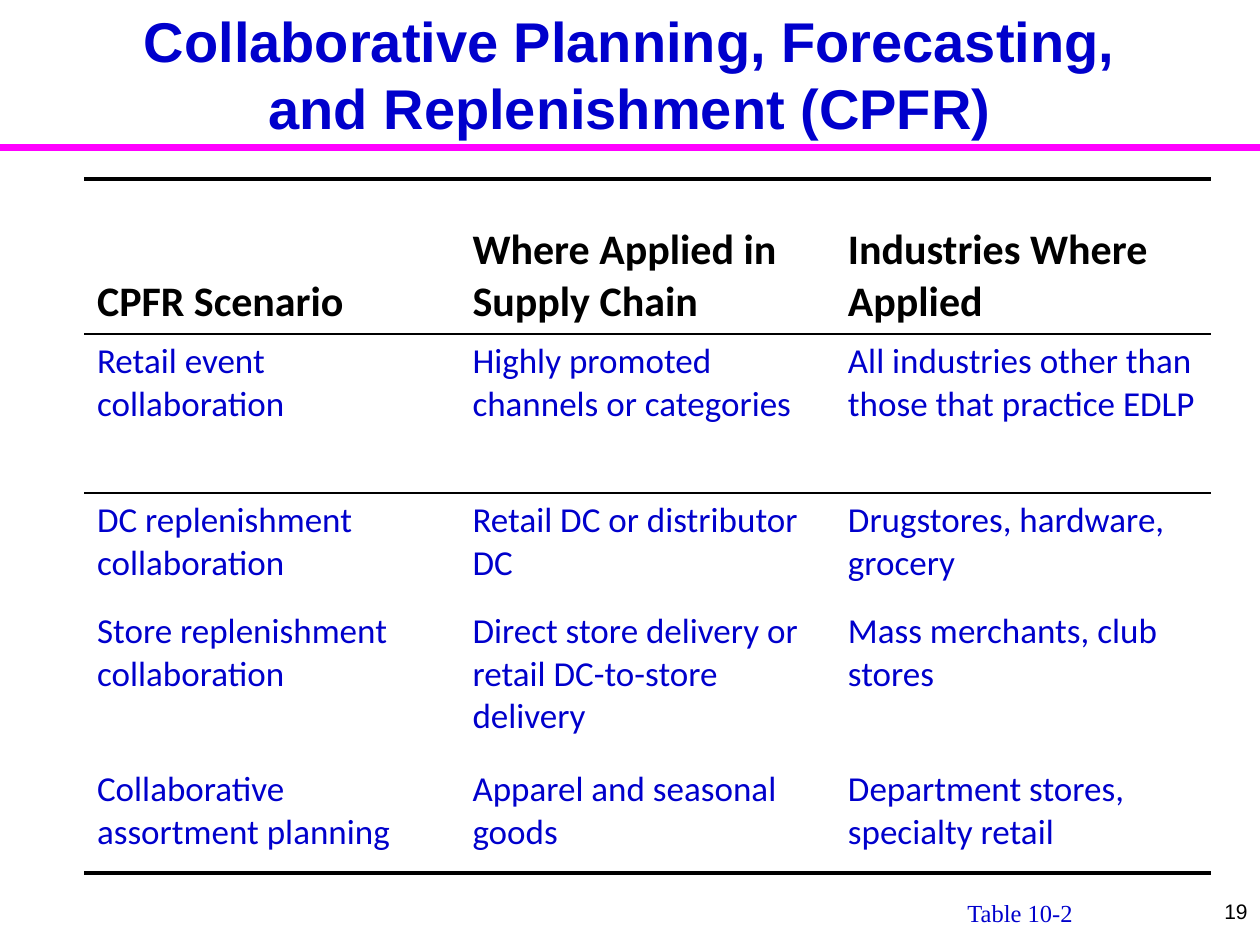
from lxml.etree import SubElement
from pptx import Presentation
from pptx.dml.color import RGBColor
from pptx.enum.shapes import MSO_CONNECTOR
from pptx.enum.text import MSO_ANCHOR, PP_ALIGN
from pptx.oxml.ns import qn
from pptx.util import Inches, Pt

BLUE, BLACK, MAGENTA = "0000CC", "000000", "FF00FF"
ROWS = [
    ("CPFR Scenario", "Where Applied in Supply Chain", "Industries Where Applied"),
    ("Retail event collaboration", "Highly promoted channels or categories",
     "All industries other than those that practice EDLP"),
    ("DC replenishment collaboration", "Retail DC or distributor DC",
     "Drugstores, hardware, grocery"),
    ("Store replenishment collaboration",
     "Direct store delivery or retail DC-to-store delivery",
     "Mass merchants, club stores"),
    ("Collaborative assortment planning", "Apparel and seasonal goods",
     "Department stores, specialty retail"),
]
ROW_HEIGHTS = [1.23, 1.26, 0.88, 1.26, 0.88]
RULE_WIDTHS = [2.25, 1.5, 1.5, 0, 0, 2.25]


def color(value):
    return RGBColor.from_string(value)


class SlideBuilder:
    def __init__(self, slide, font="Calibri"):
        self.slide = slide
        self.font = font

    def add_run(self, frame, text, size, fill, font=None, bold=False, align=PP_ALIGN.LEFT):
        paragraph = frame.paragraphs[0]
        paragraph.alignment = align
        run = paragraph.add_run()
        run.text = text
        run.font.name = font or self.font
        run.font.size = Pt(size)
        run.font.bold = bold
        run.font.color.rgb = color(fill)

    def text(self, box, text, size, fill, anchor=MSO_ANCHOR.TOP, wrap=True, **style):
        shape = self.slide.shapes.add_textbox(*map(Inches, box))
        frame = shape.text_frame
        frame.word_wrap = wrap
        frame.vertical_anchor = anchor
        self.add_run(frame, text, size, fill, **style)

    def line(self, start, end, fill, width):
        connector = self.slide.shapes.add_connector(
            MSO_CONNECTOR.STRAIGHT, *map(Inches, start + end))
        connector.line.color.rgb = color(fill)
        connector.line.width = Pt(width)
        SubElement(connector._element.spPr, qn("a:effectLst"))

    def borders(self, cell, top, bottom):
        properties = cell._tc.get_or_add_tcPr()
        edges = {"a:lnL": 0, "a:lnR": 0, "a:lnT": top, "a:lnB": bottom}
        for tag, width in edges.items():
            border = SubElement(properties, qn(tag), w=str(Pt(width)))
            if width:
                fill = SubElement(border, qn("a:solidFill"))
                SubElement(fill, qn("a:srgbClr"), val=BLACK)
            else:
                SubElement(border, qn("a:noFill"))

    def table(self, box, rows, heights, rules):
        shape = self.slide.shapes.add_table(len(rows), len(rows[0]), *map(Inches, box))
        table = shape.table
        table.first_row = table.horz_banding = False
        for index, values in enumerate(rows):
            table.rows[index].height = Inches(heights[index])
            header = index == 0
            for column, value in enumerate(values):
                cell = table.cell(index, column)
                cell.vertical_anchor = MSO_ANCHOR.BOTTOM if header else MSO_ANCHOR.TOP
                self.borders(cell, rules[index], rules[index + 1])
                cell.fill.background()
                self.add_run(cell.text_frame, value, 24 if header else 20,
                             BLACK if header else BLUE, bold=header)


def main():
    presentation = Presentation()
    presentation.slide_width = Inches(10)
    presentation.slide_height = Inches(7.5)
    builder = SlideBuilder(presentation.slides.add_slide(presentation.slide_layouts[6]))
    builder.line((0, 1.17), (10, 1.17), MAGENTA, 4)
    builder.text((0.75, 0.17, 8.5, 1),
                 "Collaborative Planning, Forecasting, and Replenishment (CPFR)",
                 32, BLUE, anchor=MSO_ANCHOR.BOTTOM, font="Arial", bold=True,
                 align=PP_ALIGN.CENTER)
    builder.table((0.67, 1.42, 8.94, sum(ROW_HEIGHTS)), ROWS, ROW_HEIGHTS, RULE_WIDTHS)
    builder.text((7.58, 7.08, 1.12, 0.34), "Table 10-2", 14, BLUE, wrap=False,
                 font="Times New Roman")
    builder.text((7.92, 7.08, 2.08, 0.42), "19", 12, BLACK, font="Arial",
                 align=PP_ALIGN.RIGHT)
    presentation.save("out.pptx")


if __name__ == "__main__":
    main()
